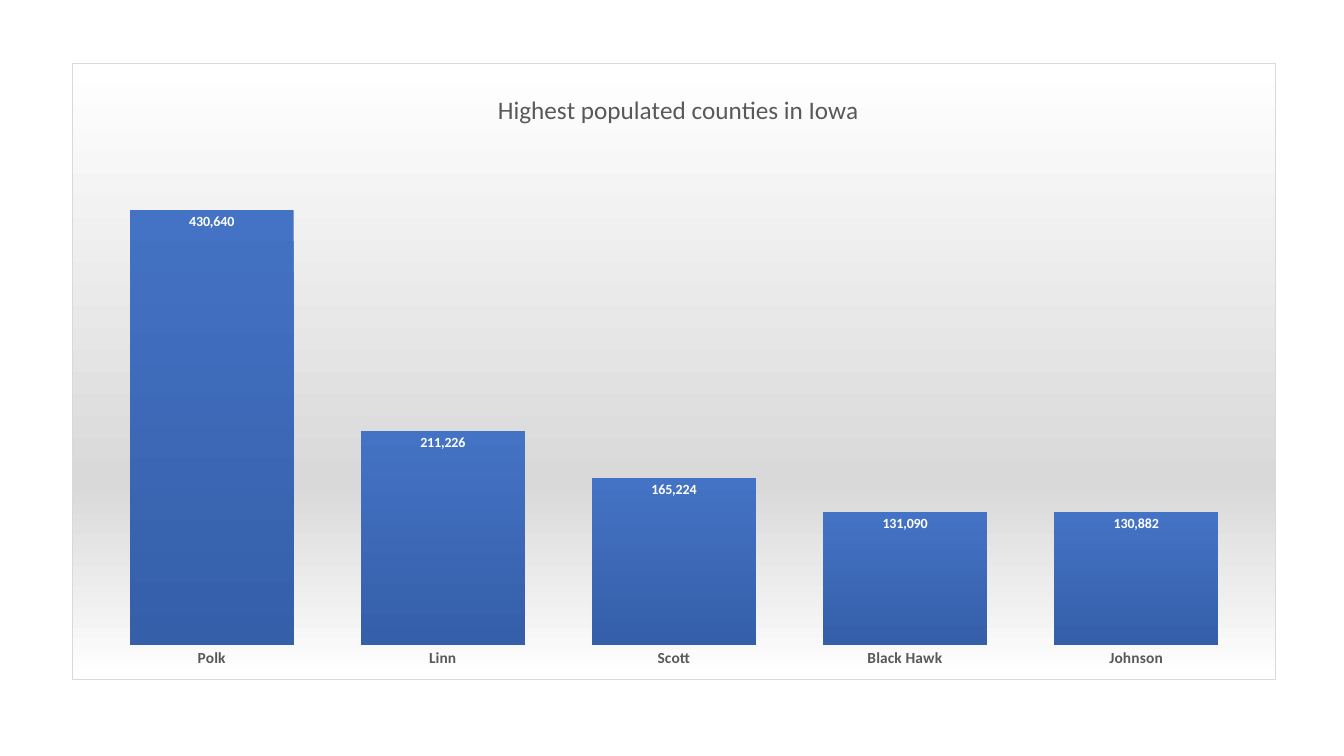
from lxml.etree import SubElement
from pptx import Presentation
from pptx.chart.data import CategoryChartData
from pptx.dml.color import RGBColor
from pptx.enum.chart import XL_CHART_TYPE, XL_LABEL_POSITION, XL_TICK_MARK
from pptx.oxml import parse_xml
from pptx.oxml.ns import nsdecls, qn
from pptx.util import Inches, Pt

WHITE = RGBColor(0xFF, 0xFF, 0xFF)
BLACK = RGBColor(0x00, 0x00, 0x00)
LIGHT_GRAY = RGBColor(0xD9, 0xD9, 0xD9)
DARK_GRAY = RGBColor(0x59, 0x59, 0x59)
BLUE = RGBColor(0x44, 0x72, 0xC4)
DEEP_BLUE = RGBColor(0x35, 0x5F, 0xA9)

FONT = "Calibri"
POPULATIONS = {
    "Polk": 430640,
    "Linn": 211226,
    "Scott": 165224,
    "Black Hawk": 131090,
    "Johnson": 130882,
}


def style_font(font, size, color, bold=False):
    """Set the typeface, size, colour and weight of a font."""
    font.name = FONT
    font.size = Pt(size)
    font.bold = bold
    font.color.rgb = color


def write_text(frame, text, **font_format):
    """Write one formatted line into a text frame."""
    span = frame.paragraphs[0].add_run()
    span.text = text
    style_font(span.font, **font_format)


def gradient_properties(stops, border=None):
    """Return chart shape properties with a downward gradient and optional border."""
    stop_xml = "".join(
        f'<a:gs pos="{percent * 1000}"><a:srgbClr val="{color}"/></a:gs>'
        for percent, color in stops
    )
    line_xml = "<a:ln><a:noFill/></a:ln>"
    if border is not None:
        line_xml = (
            f'<a:ln w="{Pt(0.75)}"><a:solidFill>'
            f'<a:srgbClr val="{border}"/></a:solidFill></a:ln>'
        )
    return parse_xml(
        f'<c:spPr {nsdecls("c", "a")}><a:gradFill><a:gsLst>{stop_xml}</a:gsLst>'
        f'<a:lin ang="5400000" scaled="0"/></a:gradFill>{line_xml}</c:spPr>'
    )


def place_part(part, index, **settings):
    """Give a chart part a manual layout, as fractions of the chart."""
    for old_layout in part.findall(qn("c:layout")):
        part.remove(old_layout)
    layout = parse_xml(f'<c:layout {nsdecls("c")}><c:manualLayout/></c:layout>')
    for name, value in settings.items():
        SubElement(layout[0], qn(f"c:{name}")).set("val", str(value))
    part.insert(index, layout)


def format_title(chart, text):
    """Add the chart title and place it."""
    title = chart.chart_title
    write_text(title.text_frame, text, size=18, color=DARK_GRAY)
    title.include_in_layout = False
    place_part(chart._chartSpace.chart.find(qn("c:title")), 1,
               xMode="edge", yMode="edge", x=0.35, y=0.04)


def format_axes(chart):
    """Show only the county names and hide the value axis."""
    counties = chart.category_axis
    counties.major_tick_mark = XL_TICK_MARK.NONE
    counties.format.line.fill.background()
    style_font(counties.tick_labels.font, 11, DARK_GRAY, bold=True)
    values = chart.value_axis
    values.minimum_scale = 0
    values.maximum_scale = 500000
    values.has_major_gridlines = False
    values.visible = False


def format_columns(chart):
    """Colour the columns and label them inside their top ends."""
    plot = chart.plots[0]
    plot.gap_width = 41
    plot.vary_by_categories = False
    series = plot.series[0]
    properties = series.format.fill._xPr
    properties.getparent().replace(
        properties, gradient_properties([(0, BLUE), (100, DEEP_BLUE)]))
    labels = series.data_labels
    labels.show_value = True
    labels.position = XL_LABEL_POSITION.INSIDE_END
    labels.number_format = "#,##0"
    labels.number_format_is_linked = False
    style_font(labels.font, 10, WHITE, bold=True)


def add_population_chart(slide):
    """Add the column chart of county populations."""
    data = CategoryChartData(number_format="#,##0")
    data.categories = list(POPULATIONS)
    data.add_series("Series 1", list(POPULATIONS.values()))
    chart = slide.shapes.add_chart(
        XL_CHART_TYPE.COLUMN_CLUSTERED, Inches(0.71), Inches(0.62),
        Inches(11.95), Inches(6.13), data).chart
    chart.has_legend = False
    style_font(chart.font, 10, BLACK)
    format_title(chart, "Highest populated counties in Iowa")
    format_axes(chart)
    format_columns(chart)
    chart_part = chart._chartSpace.chart
    place_part(chart_part.plotArea, 0, layoutTarget="inner", xMode="edge",
               yMode="edge", x=0.02, y=0.124, w=0.96, h=0.819)
    chart_part.addnext(gradient_properties(
        [(0, WHITE), (68, LIGHT_GRAY), (100, WHITE)], border=LIGHT_GRAY))


def main():
    """Build and save the one-slide deck."""
    deck = Presentation()
    deck.slide_width = Inches(13.33)
    deck.slide_height = Inches(7.5)
    slide = deck.slides.add_slide(deck.slide_layouts[6])
    add_population_chart(slide)
    deck.save("out.pptx")


main()
